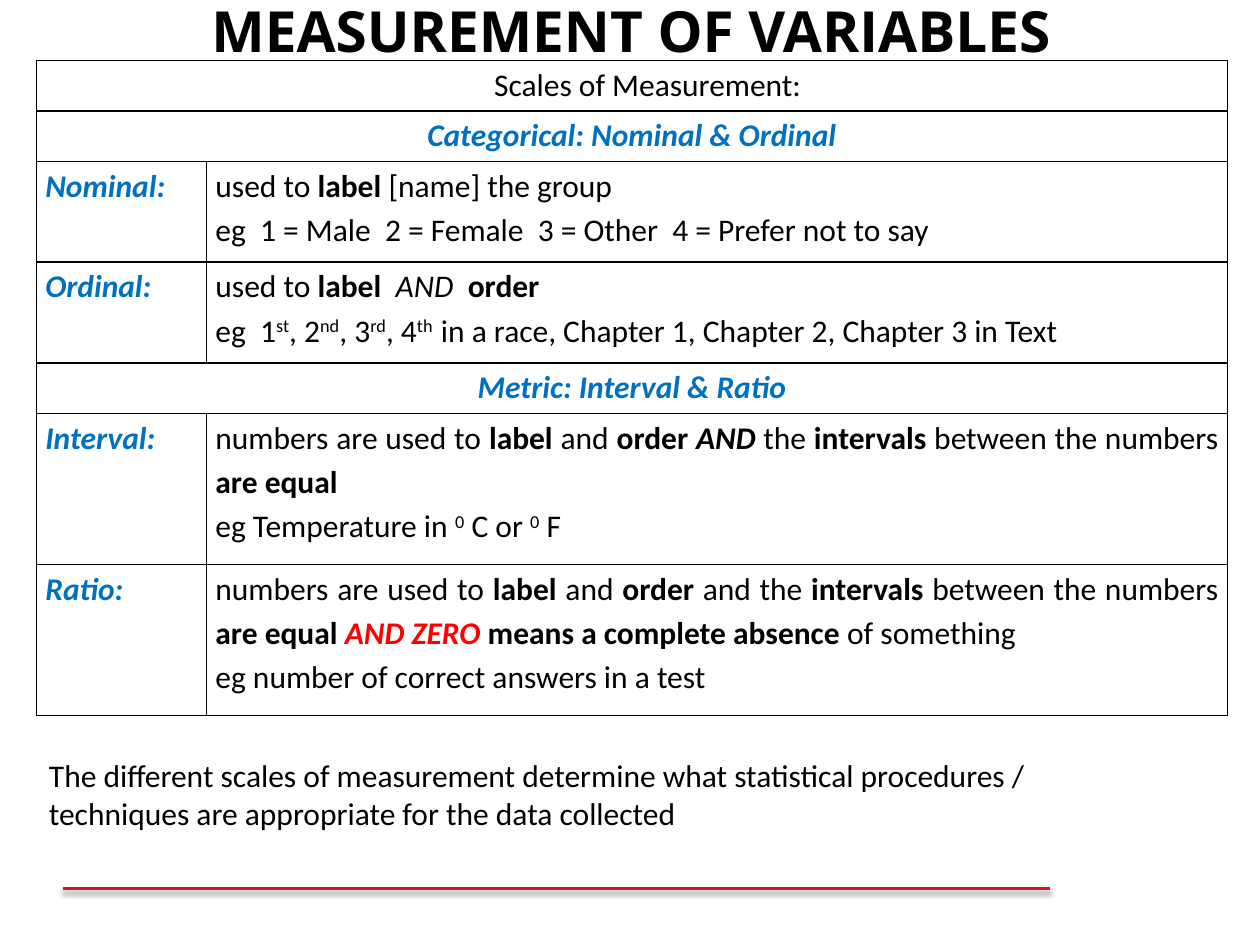
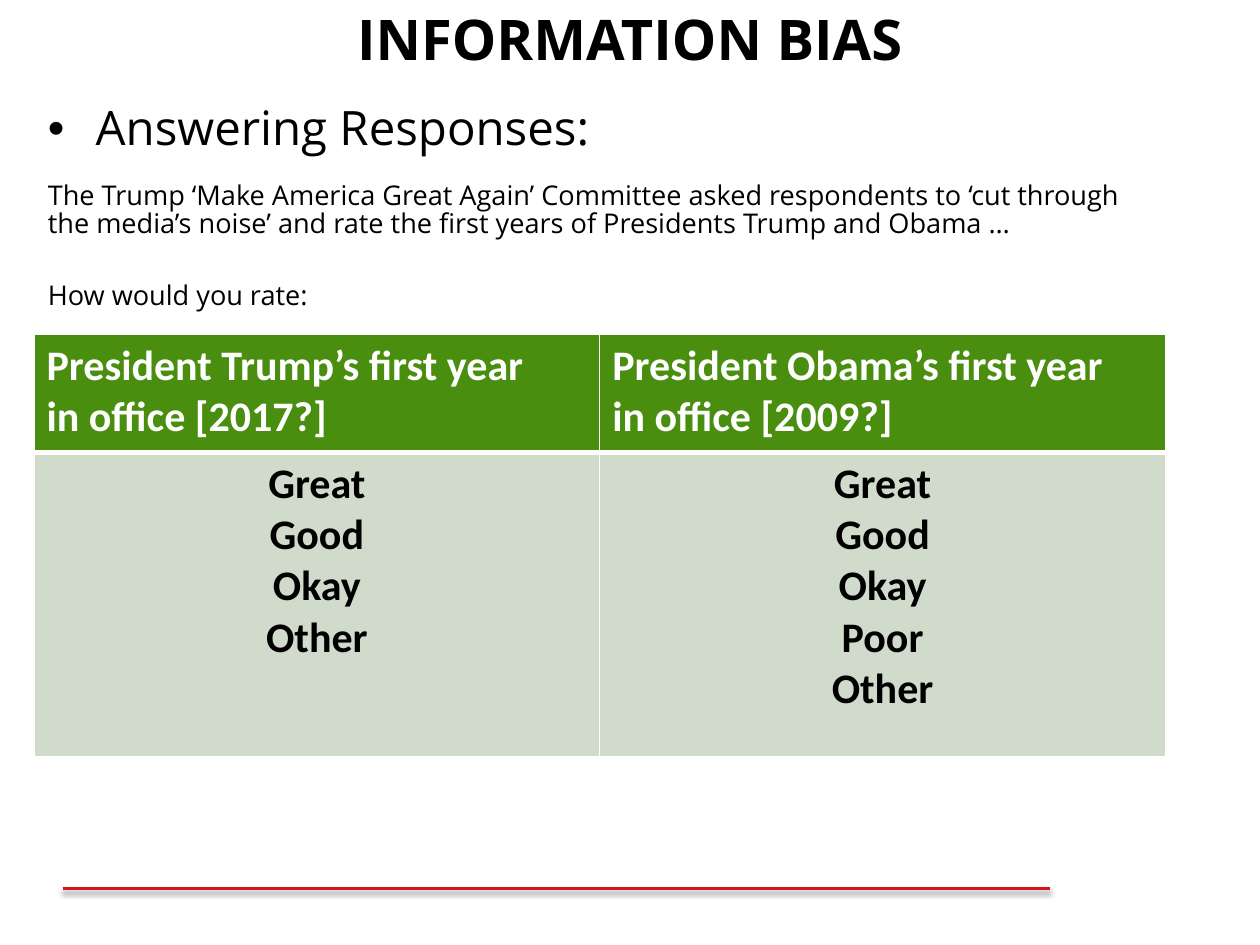
from pptx import Presentation
from pptx.dml.color import RGBColor
from pptx.enum.shapes import MSO_CONNECTOR
from pptx.enum.text import MSO_ANCHOR, MSO_AUTO_SIZE, PP_ALIGN
from pptx.oxml import parse_xml
from pptx.oxml.ns import nsdecls
from pptx.util import Inches, Pt

LEFT, CENTER, JUSTIFY = PP_ALIGN.LEFT, PP_ALIGN.CENTER, PP_ALIGN.JUSTIFY
TOP, MIDDLE = MSO_ANCHOR.TOP, MSO_ANCHOR.MIDDLE
STRAIGHT, NO_AUTOFIT = MSO_CONNECTOR.STRAIGHT, MSO_AUTO_SIZE.NONE

BLACK = RGBColor(0x00, 0x00, 0x00)
WHITE = RGBColor(0xFF, 0xFF, 0xFF)
BLUE = RGBColor(0x00, 0x70, 0xC0)
RED = RGBColor(0xFF, 0x00, 0x00)
RULE_RED = RGBColor(0xD1, 0x16, 0x1E)
GREEN = RGBColor(0x4A, 0x8E, 0x10)
PALE_GREEN = RGBColor(0xD0, 0xDB, 0xCC)
HEAD_FONT, TEXT_FONT = "Open Sans", "Calibri"

TITLE_CONTENT, TITLE_ONLY = 1, 5

# Each run is (text, style): b bold, i italic, ^ superscript, r red
SCALES = [
    ("Categorical: Nominal & Ordinal", None),
    ("Nominal:", [
        [("used to ", ""), ("label", "b"), (" [name] the group", "")],
        [("eg  1 = Male  2 = Female  3 = Other  4 = Prefer not to say", "")]]),
    ("Ordinal:", [
        [("used to ", ""), ("label  ", "b"), ("AND  ", "i"), ("order", "b")],
        [("eg  1", ""), ("st", "^"), (", 2", ""), ("nd", "^"), (", 3", ""),
         ("rd", "^"), (", 4", ""), ("th  ", "^"),
         ("in a race, Chapter 1, Chapter 2, Chapter 3 in Text", "")]]),
    ("Metric: Interval & Ratio", None),
    ("Interval:", [
        [("numbers are used to ", ""), ("label", "b"), (" and ", ""),
         ("order ", "b"), ("AND", "bi"), (" the ", ""), ("intervals", "b"),
         (" between the numbers ", ""), ("are equal", "b")],
        [("eg Temperature in ", ""), ("0", "^"), (" C or ", ""), ("0", "^"),
         (" F", "")]]),
    ("Ratio:", [
        [("numbers are used to ", ""), ("label", "b"), (" and ", ""),
         ("order", "b"), (" and the ", ""), ("intervals", "b"),
         (" between the numbers ", ""), ("are equal ", "b"),
         ("AND ZERO ", "bir"), ("means a complete absence ", "b"),
         ("of something", "")],
        [("eg number of correct answers in a test", "")]]),
]
RATINGS = [
    ("President Trump’s first year\nin office [2017?]",
     "Great\nGood\nOkay\nOther"),
    ("President Obama’s first year\nin office [2009?]",
     "Great\nGood\nOkay\nPoor\nOther"),
]


def place(sp, box):
    sp.left, sp.top, sp.width, sp.height = (Inches(v) for v in box)


def format_runs(p, font, size, color=BLACK, bold=False, italic=False):
    for r in p.runs:
        r.font.name, r.font.size = font, Pt(size)
        r.font.bold, r.font.italic = bold, italic
        r.font.color.rgb = color


def add_styled_runs(p, runs):
    for text, style in runs:
        r = p.add_run()
        r.text = text
        r.font.name, r.font.size = TEXT_FONT, Pt(18)
        r.font.bold, r.font.italic = "b" in style, "i" in style
        r.font.color.rgb = RED if "r" in style else BLACK
        if "^" in style:
            r._r.get_or_add_rPr().set("baseline", "30000")


def set_indent(p, left, first=0):
    pPr = p._p.get_or_add_pPr()
    pPr.set("marL", str(Inches(left)))
    pPr.set("indent", str(Inches(first)))
    return pPr


def set_borders(cell, color, **widths):
    """Draw the named cell edges (L, R, T, B), with widths in points."""
    tcPr = cell._tc.get_or_add_tcPr()
    for i, edge in enumerate("LRTB"):
        tcPr.insert(i, parse_xml(
            f'<a:ln{edge} {nsdecls("a")} w="{Pt(widths[edge])}"><a:solidFill>'
            f'<a:srgbClr val="{color}"/></a:solidFill></a:ln{edge}>'))


def fill(sp, color):
    sp.fill.solid()
    sp.fill.fore_color.rgb = color


def add_plain_table(slide, box, widths, heights):
    table = slide.shapes.add_table(len(heights), len(widths),
                                   *(Inches(v) for v in box)).table
    table.first_row = table.horz_banding = False
    for col, width in zip(table.columns, widths):
        col.width = Inches(width)
    for row, height in zip(table.rows, heights):
        row.height = Inches(height)
    return table


def add_footer_rule(slide):
    line = slide.shapes.add_connector(STRAIGHT, Inches(0.5), Inches(7.05),
                                      Inches(8.33), Inches(7.05))
    line.line.color.rgb, line.line.width = RULE_RED, Pt(2)
    line._element.spPr.append(parse_xml(
        f'<a:effectLst {nsdecls("a")}><a:outerShdw blurRad="{Pt(3.1)}" '
        f'dist="{Pt(1.6)}" dir="5400000" rotWithShape="0">'
        '<a:srgbClr val="000000"><a:alpha val="38000"/></a:srgbClr>'
        '</a:outerShdw></a:effectLst>'))


def add_slide(prs, layout, title, title_box, size):
    slide = prs.slides.add_slide(prs.slide_layouts[layout])
    add_footer_rule(slide)
    place(slide.shapes.title, title_box)
    tf = slide.shapes.title.text_frame
    tf.text = title
    tf.auto_size, tf.vertical_anchor = NO_AUTOFIT, MIDDLE
    tf.paragraphs[0].alignment = CENTER
    format_runs(tf.paragraphs[0], HEAD_FONT, size, bold=True)
    return slide


def add_scales_table(slide, box):
    line_height = 0.4
    heights = [line_height] + [
        line_height if not lines else line_height * (3 if len(lines[0]) > 5 else 2)
        for _, lines in SCALES]
    label_width = 1.35
    table = add_plain_table(slide, box, [label_width, box[2] - label_width],
                            heights)
    for cell in table.iter_cells():
        cell.margin_left = cell.margin_right = Inches(0.07)
        cell.margin_top = cell.margin_bottom = 0
        fill(cell, WHITE)
        set_borders(cell, BLACK, L=1, R=1, T=1, B=1)

    rows = [("Scales of Measurement:", None)] + SCALES
    for i, (label, lines) in enumerate(rows):
        cell = table.cell(i, 0)
        cell.text = label
        p = cell.text_frame.paragraphs[0]
        p.line_spacing = 1.15
        p.alignment = LEFT if lines else CENTER
        if i == 0:
            set_indent(p, 0.25)
            format_runs(p, TEXT_FONT, 18)
        else:
            format_runs(p, TEXT_FONT, 18, BLUE, bold=True, italic=True)
        if not lines:
            cell.merge(table.cell(i, 1))
            continue
        tf = table.cell(i, 1).text_frame
        for j, runs in enumerate(lines):
            p = tf.add_paragraph() if j else tf.paragraphs[0]
            p.alignment, p.line_spacing = JUSTIFY, 1.15
            add_styled_runs(p, runs)


def add_closing_note(slide, box):
    sp = slide.shapes.add_textbox(*(Inches(v) for v in box))
    fill(sp, WHITE)
    tf = sp.text_frame
    tf.word_wrap = True
    tf.text = ("The different scales of measurement determine what statistical "
               "procedures / techniques are appropriate for the data collected")
    format_runs(tf.paragraphs[0], TEXT_FONT, 18)


def fill_question(body, box):
    place(body, box)
    tf = body.text_frame
    tf.auto_size, tf.vertical_anchor = NO_AUTOFIT, TOP
    lines = [  # text, size, line spacing, space before
        ("Answering Responses:", 27.1, 0.96, 0),
        ("The Trump ‘Make America Great Again’ Committee asked respondents to "
         "‘cut through the media’s noise’ and rate the first years of "
         "Presidents Trump and Obama …", 15.5, 0.87, 15),
        ("How would you rate:", 15.5, 0.87, 25),
    ]
    for i, (text, size, spacing, before) in enumerate(lines):
        p = tf.add_paragraph() if i else tf.paragraphs[0]
        p.text = text
        p.line_spacing, p.space_before = spacing, Pt(before)
        if i:
            bullet = f'<a:buNone {nsdecls("a")}/>'
            pPr = set_indent(p, 0)
        else:
            bullet = f'<a:buChar {nsdecls("a")} char="•"/>'
            pPr = set_indent(p, 0.38, -0.38)
        pPr.append(parse_xml(bullet))
        format_runs(p, HEAD_FONT, size)


def add_ratings_table(slide, box):
    header_height = 0.94
    table = add_plain_table(slide, box, [box[2] / 2] * 2,
                            [header_height, box[3] - header_height])
    looks = [(GREEN, WHITE, LEFT, 3, 3), (PALE_GREEN, BLACK, CENTER, 3, 1)]
    for col, texts in enumerate(RATINGS):
        for row, (back, color, align, _, bottom) in enumerate(looks):
            cell = table.cell(row, col)
            cell.text = texts[row]
            fill(cell, back)
            set_borders(cell, WHITE, L=1, R=1, T=3 if row else 1, B=bottom)
            for p in cell.text_frame.paragraphs:
                p.alignment = align
                format_runs(p, TEXT_FONT, 24, color, bold=True)


def build_measurement_slide(prs):
    slide = add_slide(prs, TITLE_ONLY, "MEASUREMENT OF VARIABLES",
                      (0.51, 0, 9, 0.47), 32.4)
    add_scales_table(slide, (0.29, 0.48, 9.45, 5.2))
    add_closing_note(slide, (0.29, 5.95, 8.1, 0.71))


def build_bias_slide(prs):
    slide = add_slide(prs, TITLE_CONTENT, "INFORMATION BIAS",
                      (0.5, 0, 9, 0.6), 32)
    fill_question(slide.placeholders[1], (0.28, 0.76, 8.98, 1.89))
    add_ratings_table(slide, (0.27, 2.65, 8.98, 3.36))


def main():
    prs = Presentation()
    prs.slide_width, prs.slide_height = Inches(10), Inches(7.5)
    build_measurement_slide(prs)
    build_bias_slide(prs)
    prs.save("out.pptx")


if __name__ == "__main__":
    main()
